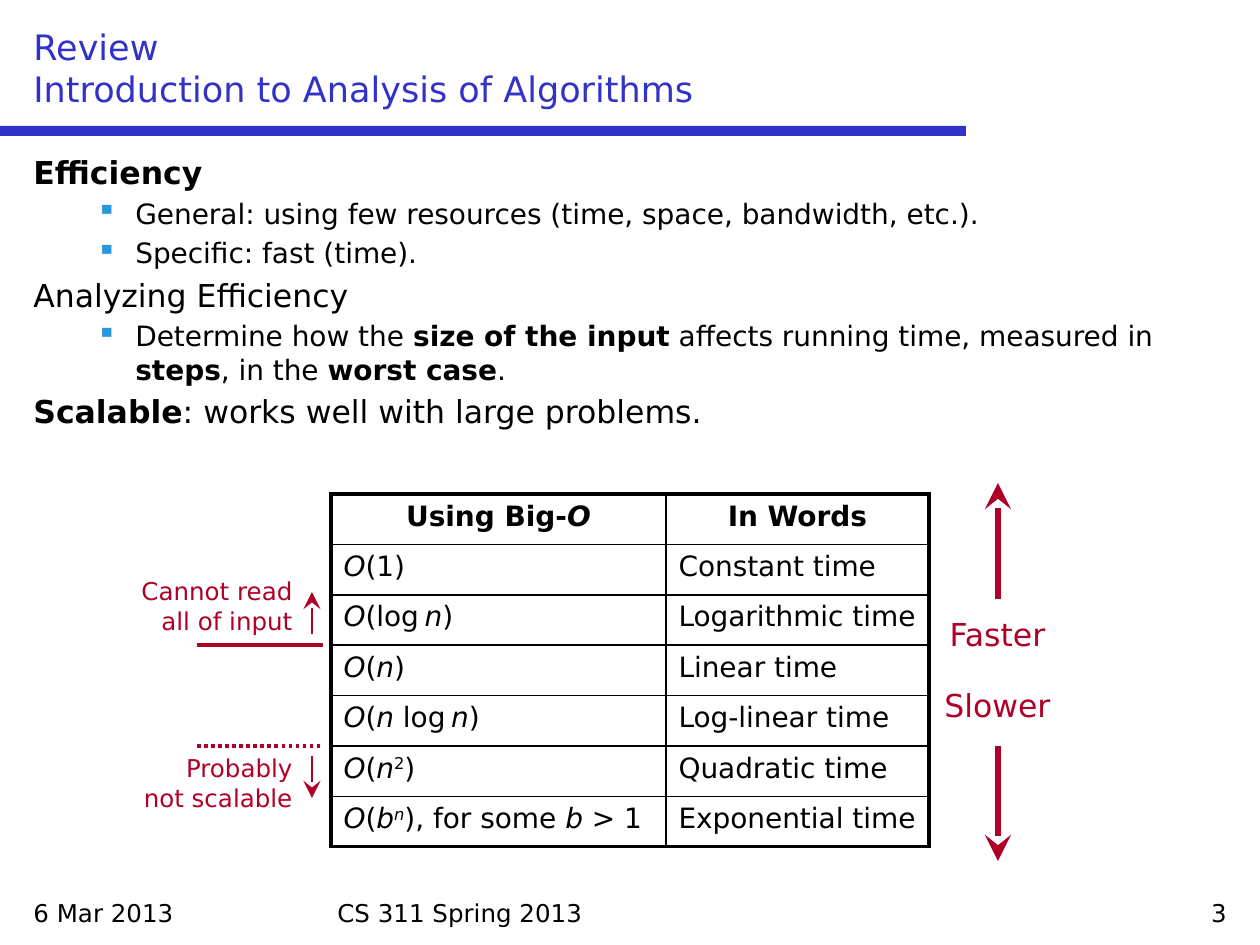
from lxml import etree
from pptx import Presentation
from pptx.dml.color import RGBColor
from pptx.enum import dml, shapes, text
from pptx.oxml import ns
from pptx import util as u

THEME = dict(font="DejaVu Sans", ink="000000", blue="3232C8", bullet="2896DC", red="AF0028",
             title=20, head=18, item=16, small=14)
PX = 914400 // 126
LEFT, CENTER, RIGHT = text.PP_ALIGN.LEFT, text.PP_ALIGN.CENTER, text.PP_ALIGN.RIGHT

TITLE = "Review\nIntroduction to Analysis of Algorithms"
FOOTERS = [("6 Mar 2013", 21, 294, LEFT), ("CS 311 Spring 2013", 325, 609, LEFT),
           ("3", 945, 294, RIGHT)]
BODY = [
    (0, [("Efficiency", "b")]),
    (1, [("General: using few resources (time, space, bandwidth, etc.).", "")]),
    (1, [("Specific: fast (time).", "")]),
    (0, [("Analyzing Efficiency", "")]),
    (1, [("Determine how the ", ""), ("size of the input", "b"),
         (" affects running time, measured in ", ""), ("steps", "b"),
         (", in the ", ""), ("worst case", "b"), (".", "")]),
    (0, [("Scalable", "b"), (": works well with large problems.", "")]),
]
ORDERS = [
    ([("Using Big-", "b"), ("O", "bi")], [("In Words", "b")]),
    ([("O", "i"), ("(1)", "")], "Constant time"),
    ([("O", "i"), ("(log\u2009", ""), ("n", "i"), (")", "")], "Logarithmic time"),
    ([("O", "i"), ("(", ""), ("n", "i"), (")", "")], "Linear time"),
    ([("O", "i"), ("(", ""), ("n", "i"), (" log\u2009", ""), ("n", "i"), (")", "")],
     "Log-linear time"),
    ([("O", "i"), ("(", ""), ("n", "i"), ("2", "s"), (")", "")], "Quadratic time"),
    ([("O", "i"), ("(", ""), ("b", "i"), ("n", "is"), ("), for some ", ""), ("b", "i"),
      (" > 1", "")], "Exponential time"),
]
TABLE_AT = (331, 494, 598, 353)
COLUMNS = (335, 263)
NOTES = [("Cannot read all of input", 126, 570, 179, 73, "small", RIGHT),
         ("Probably not scalable", 126, 747, 179, 73, "small", RIGHT),
         ("Faster", 924, 609, 147, 50, "head", CENTER),
         ("Slower", 924, 680, 147, 50, "head", CENTER)]
RULES = [(197, 746, 323, 746, 2, "dotted"), (197, 645, 323, 645, 2, ""),
         (312, 756, 312, 798, 1.25, "arrow"), (312, 634, 312, 592, 1.25, "arrow"),
         (998, 599, 998, 483, 3, "arrow"), (998, 746, 998, 861, 3, "arrow")]


def px(*lengths):
    return [u.Emu(length * PX) for length in lengths]


def color(name):
    return RGBColor.from_string(THEME[name])


def write(paragraph, runs, size, ink="ink", align=LEFT, before=0):
    paragraph.alignment = align
    paragraph.space_before = u.Pt(before)
    font = paragraph.font
    font.name, font.size = THEME["font"], u.Pt(THEME[size])
    font.color.rgb = color(ink)
    if isinstance(runs, str):
        paragraph.text = runs.replace("\n", "\v")
        return
    for words, style in runs:
        run = paragraph.add_run()
        run.text = words
        if "b" in style:
            run.font.bold = True
        if "i" in style:
            run.font.italic = True
        if "s" in style:
            run._r.get_or_add_rPr().set("baseline", "30000")


def add_box(x, y, w, h, anchor=text.MSO_ANCHOR.TOP):
    frame = slide.shapes.add_textbox(*px(x, y, w, h)).text_frame
    frame.word_wrap = True
    frame.vertical_anchor = anchor
    return frame


def add_bullet(paragraph):
    pPr = paragraph._p.get_or_add_pPr()
    pPr.set("marL", str(102 * PX))
    pPr.set("indent", str(-39 * PX))
    tint = etree.Element(ns.qn("a:buClr"))
    etree.SubElement(tint, ns.qn("a:srgbClr"), val=THEME["bullet"])
    mark = etree.Element(ns.qn("a:buChar"), char="▪")
    at = 1 if pPr.find(ns.qn("a:spcBef")) is not None else 0
    pPr.insert(at, tint)
    pPr.insert(at + 1, mark)


def add_borders(cell, row, column):
    outer = {"L": column == 0, "R": column == len(COLUMNS) - 1,
             "T": row == 0, "B": row == len(ORDERS) - 1}
    tcPr = cell._tc.get_or_add_tcPr()
    for place, (side, thick) in enumerate(outer.items()):
        edge = etree.Element(ns.qn("a:ln" + side), w=str(u.Pt(2.25 if thick else 1)))
        fill = etree.SubElement(edge, ns.qn("a:solidFill"))
        etree.SubElement(fill, ns.qn("a:srgbClr"), val=THEME["ink"])
        tcPr.insert(place, edge)


deck = Presentation()
deck.slide_width, deck.slide_height = px(1260, 945)
slide = deck.slides.add_slide(deck.slide_layouts[6])

bar = slide.shapes.add_shape(shapes.MSO_SHAPE.RECTANGLE, *px(0, 126, 966, 10))
bar.shadow.inherit = False
bar.fill.solid()
bar.fill.fore_color.rgb = color("blue")
bar.line.fill.background()

for words, x, w, align in FOOTERS:
    write(add_box(x, 892, w, 42).paragraphs[0], words, "small", align=align)
write(add_box(21, 21, 1218, 95, text.MSO_ANCHOR.BOTTOM).paragraphs[0], TITLE, "title", "blue")

body = add_box(21, 147, 1218, 735)
for number, (level, runs) in enumerate(BODY):
    paragraph = body.add_paragraph() if number else body.paragraphs[0]
    size = "item" if level else "head"
    write(paragraph, runs, size, before=THEME[size] * 0.2)
    if level:
        paragraph.level = level
        add_bullet(paragraph)

orders = slide.shapes.add_table(len(ORDERS), len(COLUMNS), *px(*TABLE_AT)).table
orders.first_row = orders.horz_banding = False
for column, width in zip(orders.columns, px(*COLUMNS)):
    column.width = width
for row, entries in enumerate(ORDERS):
    for column, runs in enumerate(entries):
        cell = orders.cell(row, column)
        cell.fill.background()
        add_borders(cell, row, column)
        write(cell.text_frame.paragraphs[0], runs, "item",
              align=LEFT if row else CENTER, before=THEME["item"] * 0.2)

for words, x, y, w, h, size, align in NOTES:
    write(add_box(x, y, w, h).paragraphs[0], words, size, "red", align)

for x1, y1, x2, y2, weight, kind in RULES:
    rule = slide.shapes.add_connector(shapes.MSO_CONNECTOR.STRAIGHT, *px(x1, y1, x2, y2))
    rule.line.color.rgb = color("red")
    rule.line.width = u.Pt(weight)
    if kind == "dotted":
        rule.line.dash_style = dml.MSO_LINE.ROUND_DOT
    if kind == "arrow":
        etree.SubElement(rule.line._get_or_add_ln(), ns.qn("a:tailEnd"),
                         type="stealth", w="lg", len="lg")
    etree.SubElement(rule._element.spPr, ns.qn("a:effectLst"))

deck.save("out.pptx")
